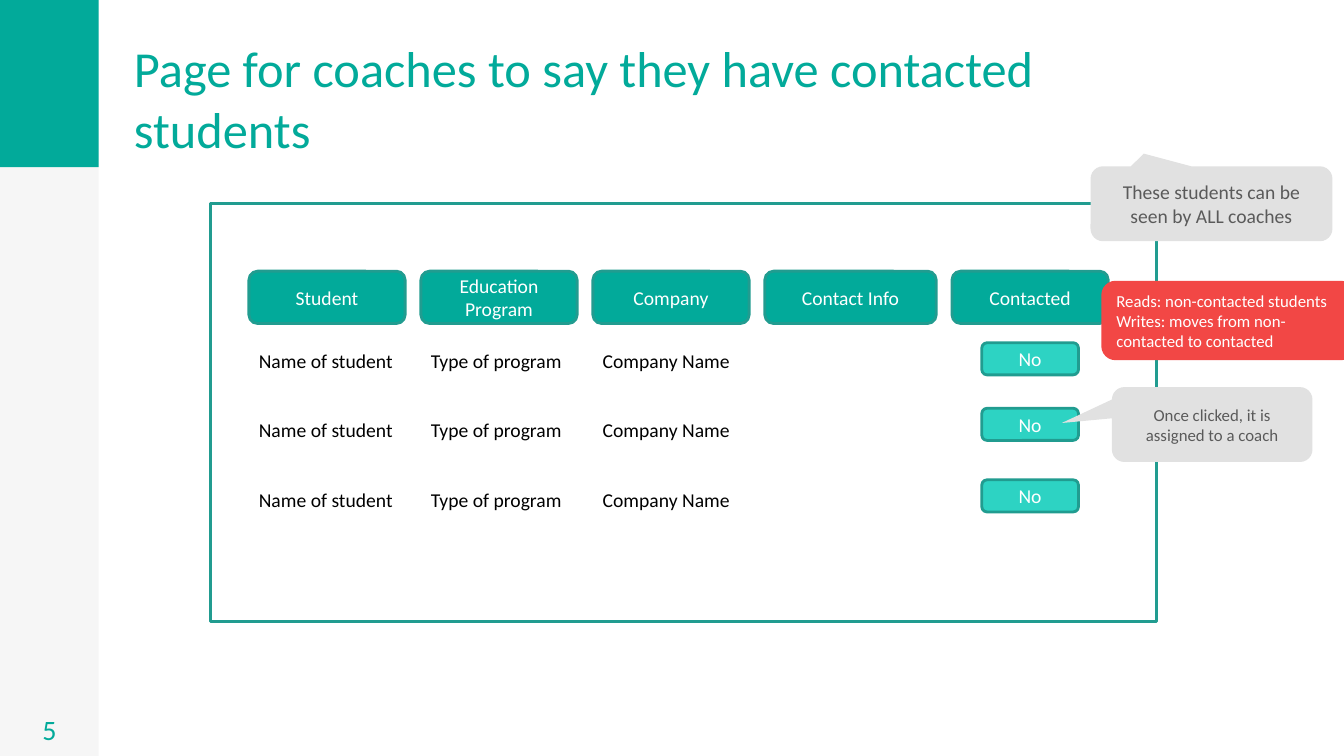
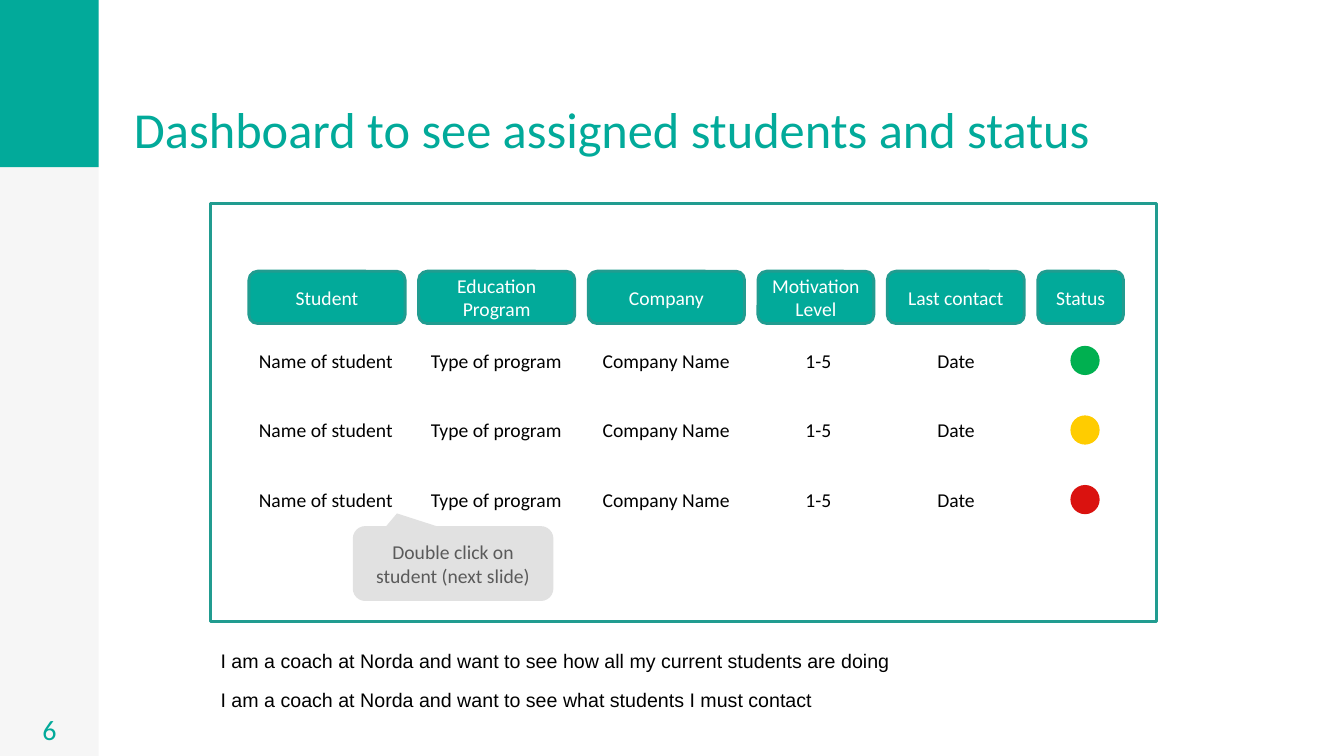
from pptx import Presentation
from pptx.dml.color import RGBColor
from pptx.enum.shapes import MSO_SHAPE as Shape
from pptx.enum.text import MSO_ANCHOR as Anchor, MSO_AUTO_SIZE as AutoSize, PP_ALIGN as Align
from pptx.util import Pt

COLORS = {
    "teal": "02AA9A", "outline": "219C90", "button": "2DD3C3",
    "band": "F6F6F6", "callout": "E1E1E1", "callout_text": "5A5A5A",
    "note": "F24745", "white": "FFFFFF", "black": "000000",
    "green": "00B050", "yellow": "FFCC00", "red": "DA120F",
}
BAND_WIDTH, BAND_HEIGHT = 70.5, 119.5
TABLE_LEFT, HEADER_TOP, HEADER_HEIGHT = 177.8, 193.7, 37.4
ROW_TOP, ROW_STEP, ROW_HEIGHT = 245.5, 49.7, 24.5
COLUMN_WIDTH = 111.6
STUDENT_CELLS = [
    ("Name of student", 177.8), ("Type of program", 300.6), ("Company Name", 423.4),
]


def color(name):
    return RGBColor.from_string(COLORS[name])


class Deck:
    """Holds the shared style and the slide being drawn."""

    def __init__(self):
        self.presentation = Presentation()
        self.presentation.slide_width = Pt(960)
        self.presentation.slide_height = Pt(540)
        self.slide = None

    def new_slide(self, title, number):
        self.slide = self.presentation.slides.add_slide(self.presentation.slide_layouts[5])
        # Side bands
        self.shape(Shape.RECTANGLE, 0, 0, BAND_WIDTH, 540, "band")
        self.shape(Shape.RECTANGLE, 0, 0, BAND_WIDTH, BAND_HEIGHT, "teal")
        # Title
        holder = self.slide.shapes.title
        holder.left, holder.top = Pt(88.5), Pt(0.7)
        holder.width, holder.height = Pt(783.4), Pt(BAND_HEIGHT)
        self.fill_text(holder, [title], 36, "teal", Align.LEFT, Anchor.BOTTOM, inset=7.2)
        # Slide number
        self.text(number, 0, 359.3, BAND_WIDTH, 180.7, 20, "teal",
                  Align.CENTER, Anchor.BOTTOM, inset=7.2)
        # Screen frame
        self.shape(Shape.RECTANGLE, 150.5, 145.4, 675.4, 298.8, "white", "outline")

    def fill_text(self, holder, lines, size, ink, align, anchor, font="Calibri", inset=3.6):
        frame = holder.text_frame
        frame.word_wrap = True
        frame.auto_size = AutoSize.NONE
        frame.vertical_anchor = anchor
        frame.margin_left = frame.margin_right = Pt(7.2)
        frame.margin_top = frame.margin_bottom = Pt(inset)
        for index, line in enumerate(lines):
            paragraph = frame.add_paragraph() if index else frame.paragraphs[0]
            paragraph.alignment = align
            run = paragraph.add_run()
            run.text = line
            run.font.name = font
            run.font.size = Pt(size)
            run.font.color.rgb = color(ink)

    def shape(self, kind, left, top, width, height, fill, line=None):
        shape = self.slide.shapes.add_shape(kind, Pt(left), Pt(top), Pt(width), Pt(height))
        shape.shadow.inherit = False
        shape.fill.solid()
        shape.fill.fore_color.rgb = color(fill)
        if line:
            shape.line.color.rgb = color(line)
            shape.line.width = Pt(2)
        else:
            shape.line.fill.background()
        return shape

    def text(self, words, left, top, width, height, size=14, ink="black",
             align=Align.LEFT, anchor=Anchor.TOP, font="Calibri", inset=3.6):
        box = self.slide.shapes.add_textbox(Pt(left), Pt(top), Pt(width), Pt(height))
        self.fill_text(box, [words], size, ink, align, anchor, font, inset)

    def button(self, lines, left, top, width, height, fill="teal", line="outline",
               size=14, align=Align.CENTER):
        shape = self.shape(Shape.ROUNDED_RECTANGLE, left, top, width, height, fill, line)
        self.fill_text(shape, lines, size, "white", align, Anchor.MIDDLE)

    def callout(self, words, left, top, width, tip, size=14):
        shape = self.shape(Shape.ROUNDED_RECTANGULAR_CALLOUT, left, top, width, 53.5, "callout")
        shape.adjustments[0], shape.adjustments[1] = tip
        self.fill_text(shape, [words], size, "callout_text", Align.CENTER, Anchor.MIDDLE)

    def headers(self, columns, gap):
        left = TABLE_LEFT
        for label, width in columns:
            self.button([label], left, HEADER_TOP, width, HEADER_HEIGHT)
            left += width + gap

    def student_rows(self):
        """Draws the columns both screens share and returns the row tops."""
        tops = [ROW_TOP + ROW_STEP * row for row in range(3)]
        for top in tops:
            for words, left in STUDENT_CELLS:
                self.text(words, left, top, COLUMN_WIDTH, ROW_HEIGHT)
        return tops


def contact_page(deck):
    deck.new_slide("Page for coaches to say they have contacted students", "5")
    deck.headers([("Student", COLUMN_WIDTH), ("Education Program", COLUMN_WIDTH),
                  ("Company", COLUMN_WIDTH), ("Contact Info", 122.4),
                  ("Contacted", COLUMN_WIDTH)], gap=11.25)
    deck.student_rows()
    for top in (244.8, 291.6, 342.7):
        deck.button(["No"], 701.3, top, 69.1, 23, "button")
    # Annotations
    deck.callout("These students can be seen by ALL coaches", 779, 118.8, 172.8, (-0.28, -0.67))
    deck.callout("Once clicked, it is assigned to a coach", 794.2, 276.5, 143.3,
                 (-0.75, -0.02), size=12)
    deck.button(["Reads: non-contacted students", "Writes: moves from non-contacted to contacted"],
                787.7, 201.6, 179.3, 54.7, "note", "note", 12, Align.LEFT)


def dashboard(deck):
    deck.new_slide("Dashboard to see assigned students and status", "6")
    deck.headers([("Student", COLUMN_WIDTH), ("Education Program", COLUMN_WIDTH),
                  ("Company", COLUMN_WIDTH), ("Motivation Level", 82.8),
                  ("Last contact", 97.9), ("Status", 61.2)], gap=9.6)
    for top, status in zip(deck.student_rows(), ("green", "yellow", "red")):
        deck.text("1-5", 542.9, top, 83.5, ROW_HEIGHT, align=Align.CENTER)
        deck.text("Date", 649.4, top, 67, ROW_HEIGHT, align=Align.CENTER)
        deck.shape(Shape.OVAL, 764.6, top + 1.5, 20.9, 20.9, status)
    deck.callout("Double click on student (next slide)", 252, 375.8, 143.3, (-0.28, -0.67))
    # User stories
    stories = ("I am a coach at Norda and want to see how all my current students are doing",
               "I am a coach at Norda and want to see what students I must contact")
    for index, story in enumerate(stories):
        deck.text(story, 150.5, 460 + 27.6 * index, 518.4, ROW_HEIGHT, font="Arial")


def main():
    deck = Deck()
    contact_page(deck)
    dashboard(deck)
    deck.presentation.save("out.pptx")


if __name__ == "__main__":
    main()
